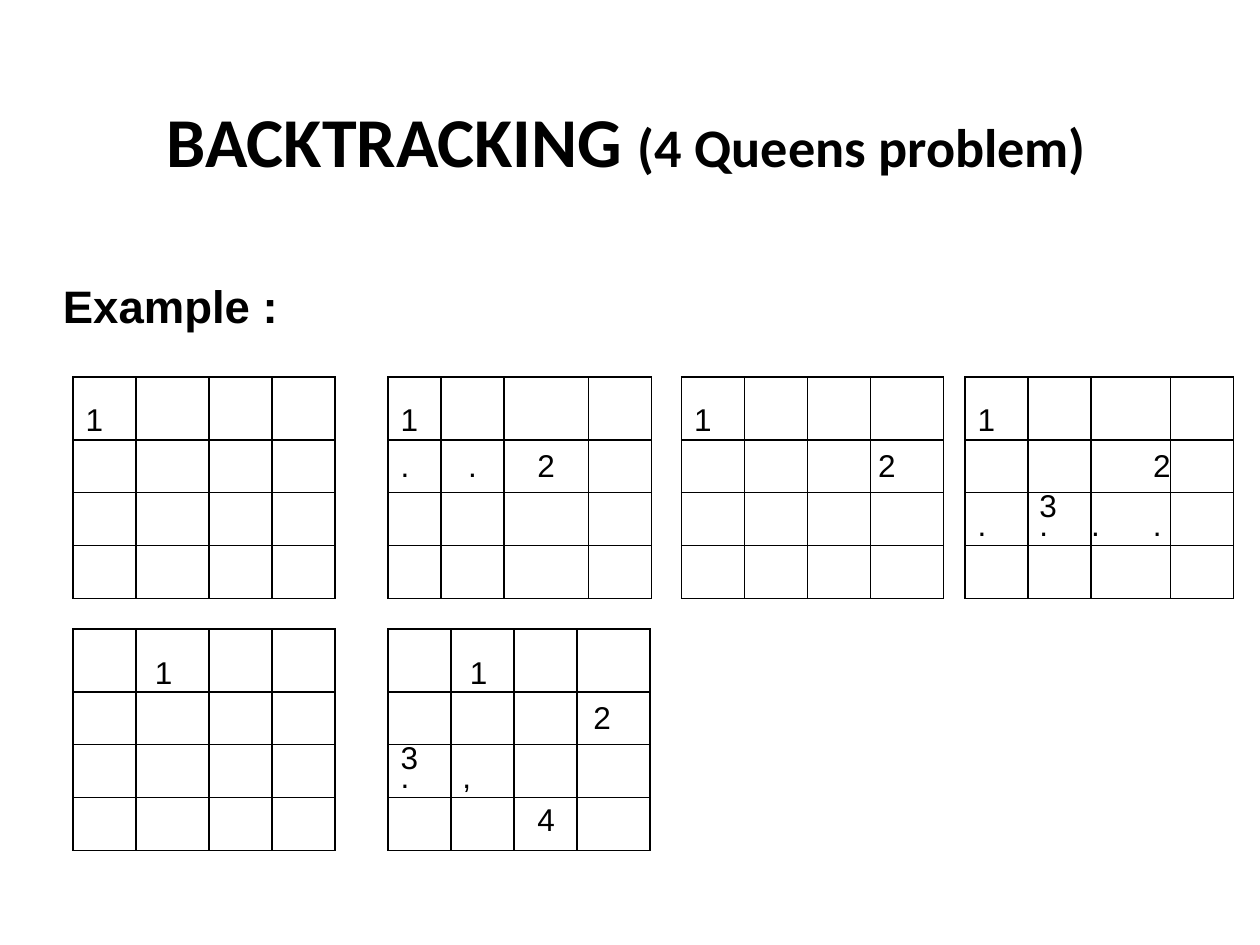
from pptx import Presentation
from pptx.dml.color import RGBColor
from pptx.enum.text import MSO_ANCHOR, PP_ALIGN
from pptx.oxml import parse_xml
from pptx.oxml.ns import nsdecls
from pptx.util import Inches, Pt

BLACK = "000000"
LEFT, CENTER, RIGHT = PP_ALIGN.LEFT, PP_ALIGN.CENTER, PP_ALIGN.RIGHT


def add_run(p, text, size, name="Arial", bold=False):
    r = p.add_run()
    r.text = text
    for key, value in {"size": Pt(size), "name": name, "bold": bold}.items():
        setattr(r.font, key, value)
    r.font.color.rgb = RGBColor.from_string(BLACK)


def set_margins(frame, left=0, top=0):
    for side, value in {"left": left, "top": top, "right": 0, "bottom": 0}.items():
        setattr(frame, f"margin_{side}", Inches(value))


prs = Presentation()
prs.slide_width, prs.slide_height = Inches(10), Inches(7.5)
s = prs.slides.add_slide(prs.slide_layouts[6])

headings = [
    ((0.59, 0.76, 8.76, 0.69), CENTER, "Calibri",
     [("BACKTRACKING ", 40), ("(4 Queens problem)", 31)]),
    ((0.5, 2.19, 1.73, 0.46), LEFT, "Arial", [("Example :", 26)]),
]
for box, align, name, runs in headings:
    tf = s.shapes.add_textbox(*map(Inches, box)).text_frame
    tf.word_wrap = True
    tf.vertical_anchor = MSO_ANCHOR.MIDDLE
    set_margins(tf, top=0.01)
    p = tf.paragraphs[0]
    p.alignment = align
    for text, size in runs:
        add_run(p, text, size, name, bold=True)

rows = [0.5, 0.42, 0.42, 0.42]
top_y, bottom_y = 2.99, 4.99
wide_second = [0.5, 0.58, 0.5, 0.5]
wide_last = [0.5, 0.5, 0.5, 0.58]
corner = (0, 0, [("1", 15.7)], LEFT, 0.1, 0.27)
second = (0, 1, [("1", 15.6)], LEFT, 0.15, 0.28)
three = [("3", 18.1), (".", 10.8)]
boards = [
    (0.58, top_y, wide_second, [corner]),
    (3.08, top_y, [0.42, 0.5, 0.67, 0.5], [
        corner,
        (1, 0, [(".", None)], LEFT, 0.1, 0.07),
        (1, 1, [(".", None)], CENTER, 0, 0.07),
        (1, 2, [("2", None)], CENTER, 0, 0.07)]),
    (5.41, top_y, wide_last, [corner, (1, 3, [("2", None)], LEFT, 0.06, 0.07)]),
    (7.66, top_y, [0.5, 0.5, 0.63, 0.5], [
        corner,
        (1, 2, [("2", None)], RIGHT, 0, 0.07),
        (2, 0, [(".", 10.8)], LEFT, 0.1, 0.25),
        (2, 1, three, LEFT, 0.09, 0),
        (2, 2, [(".\t.", 10.8)], LEFT, 0, 0.25)]),
    (0.58, bottom_y, wide_second, [second]),
    (3.08, bottom_y, wide_last, [
        second,
        (1, 3, [("2", None)], LEFT, 0.13, 0.07),
        (2, 0, three, LEFT, 0.1, 0),
        (2, 1, [(",", 10.8)], LEFT, 0.09, 0.25),
        (3, 2, [("4", None)], CENTER, 0.01, 0.04)]),
]

for x, y, cols, entries in boards:
    table = s.shapes.add_table(
        4, 4, Inches(x), Inches(y), Inches(sum(cols)), Inches(sum(rows))).table
    table.first_row = table.horz_banding = False
    for i in range(4):
        table.columns[i].width = Inches(cols[i])
        table.rows[i].height = Inches(rows[i])
    for cell in table.iter_cells():
        set_margins(cell)
        pr = cell._tc.get_or_add_tcPr()
        for edge in ("lnL", "lnR", "lnT", "lnB"):
            pr.append(parse_xml(
                f'<a:{edge} {nsdecls("a")} w="{Pt(1)}"><a:solidFill>'
                f'<a:srgbClr val="{BLACK}"/></a:solidFill></a:{edge}>'))
        cell.fill.background()
    for row, col, lines, align, left, top in entries:
        cell = table.cell(row, col)
        set_margins(cell, left, top)
        tf = cell.text_frame
        for i, (text, spacing) in enumerate(lines):
            p = tf.add_paragraph() if i else tf.paragraphs[0]
            p.alignment = align
            if spacing:
                p.line_spacing = Pt(spacing)
            if "\t" in text:
                p._p.get_or_add_pPr().append(parse_xml(
                    f'<a:tabLst {nsdecls("a")}>'
                    f'<a:tab pos="{Inches(0.49)}" algn="l"/></a:tabLst>'))
            add_run(p, text, 18)

prs.save("out.pptx")
